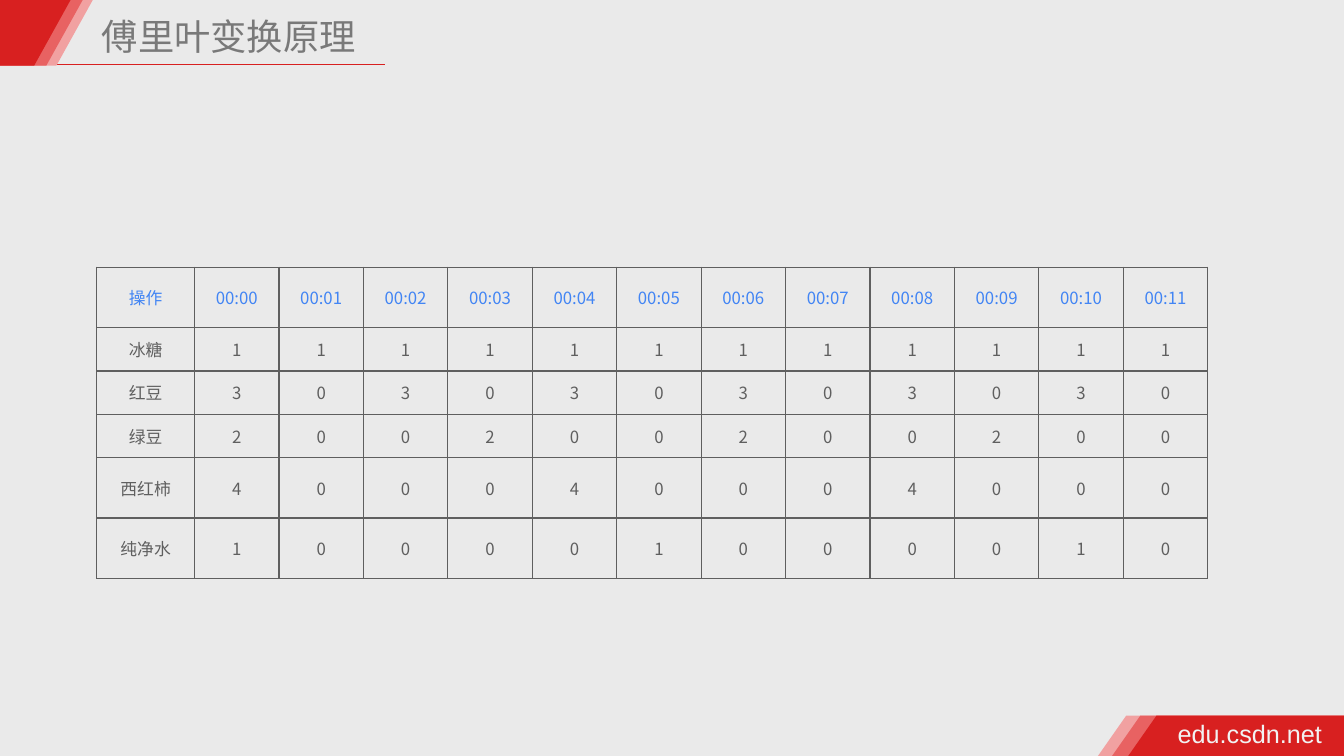
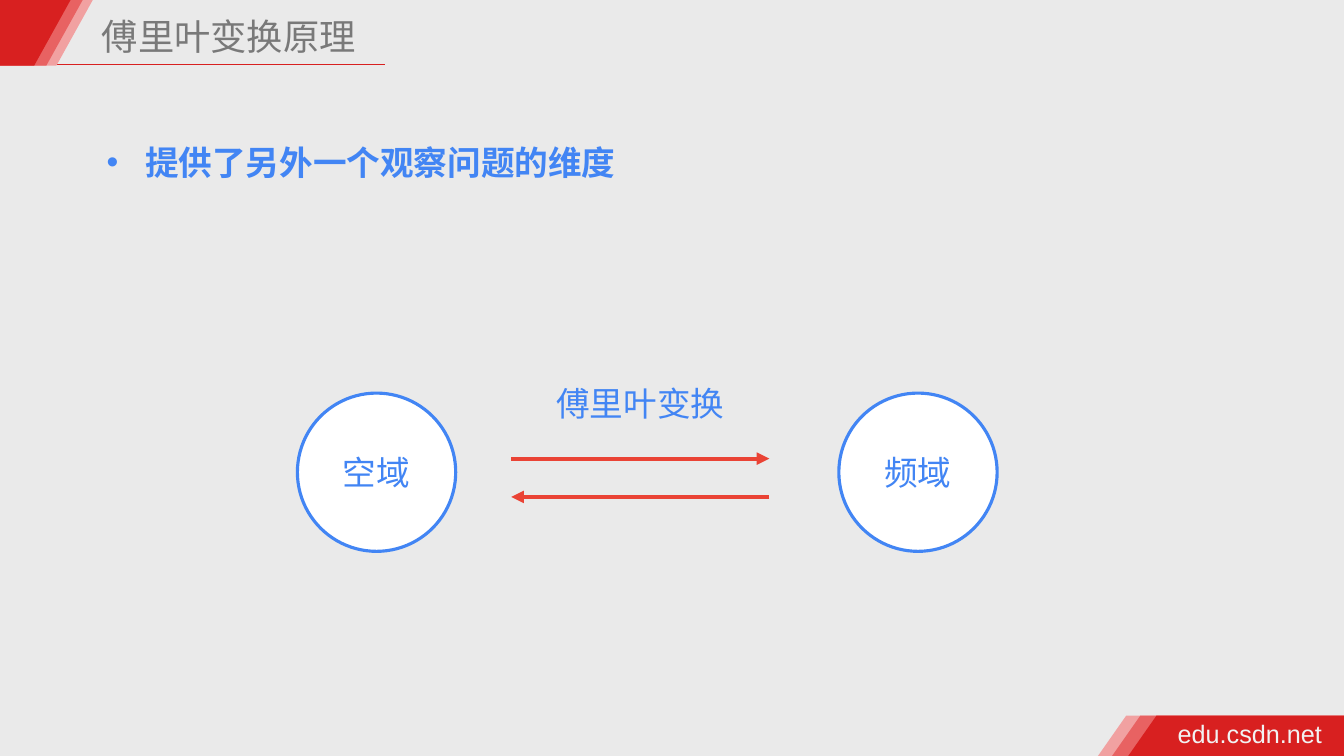
"""Build two slides on the idea behind the Fourier transform."""
from dataclasses import dataclass

from lxml import etree
from pptx import Presentation
from pptx.dml.color import RGBColor
from pptx.enum.shapes import MSO_CONNECTOR, MSO_SHAPE
from pptx.enum.text import MSO_ANCHOR, MSO_AUTO_SIZE, PP_ALIGN
from pptx.oxml.ns import qn
from pptx.util import Inches, Pt

LINE = MSO_CONNECTOR.STRAIGHT
OVAL = MSO_SHAPE.OVAL
MID = MSO_ANCHOR.MIDDLE
GROW = MSO_AUTO_SIZE.SHAPE_TO_FIT_TEXT
LEFT, MIDDLE = PP_ALIGN.LEFT, PP_ALIGN.CENTER


@dataclass(frozen=True)
class Theme:
    """Colours, fonts and type sizes of the deck."""
    back: str = "EAEAEA"
    pale: str = "F1A1A1"
    rose: str = "E86262"
    red: str = "D82020"
    arrow: str = "EA4335"
    blue: str = "4285F4"
    gray: str = "5F5F5F"
    head: str = "797979"
    white: str = "FFFFFF"
    foot: str = "F2F2F2"
    font: str = "Noto Sans CJK SC"
    latin: str = "Arial"
    title: float = 25.9
    body: int = 24
    site: int = 18
    cell: int = 12


T = Theme()
WIDE, HIGH = 13.33, 7.5
EDGE = 0.96
PAD = 0.05
TITLE = "傅里叶变换原理"
SITE = "edu.csdn.net"
POINT = "提供了另外一个观察问题的维度"
LABEL = "傅里叶变换"
NODES = ["空域", "频域"]
BANDS = [(T.pale, 0.92, 10.89), (T.rose, 0.82, 11.03), (T.red, 0.70, 11.19)]
TIMES = [f"00:{i:02}" for i in range(12)]
ITEMS = [
    ("冰糖", 0.43, 1, 1),
    ("红豆", 0.43, 3, 2),
    ("绿豆", 0.43, 2, 3),
    ("西红柿", 0.6, 4, 4),
    ("纯净水", 0.6, 1, 5),
]


def paint(fill, tone):
    fill.solid()
    fill.fore_color.rgb = RGBColor.from_string(tone)


def write(frame, text, size, tone, font=T.font, align=LEFT, bold=False, dot=False):
    para = frame.paragraphs[0]
    para.text = text
    para.alignment = align
    if dot:
        props = para._p.get_or_add_pPr()
        props.set("marL", str(Inches(0.38)))
        props.set("indent", str(-Inches(0.38)))
        etree.SubElement(props, qn("a:buFont"), typeface=T.latin)
        etree.SubElement(props, qn("a:buChar"), char="•")
    face = para.font
    face.size = Pt(size)
    face.bold = bold
    face.color.rgb = RGBColor.from_string(tone)
    face.name = font
    base = para._p.pPr.find(qn("a:defRPr"))
    etree.SubElement(base, qn("a:ea"), typeface=font)
    return para


def inset(frame, pad):
    frame.margin_left = frame.margin_right = Inches(pad)
    frame.margin_top = frame.margin_bottom = Inches(pad)


def box(slide, x, y, w, h, grow=True, wrap=True, pad=None):
    frame = slide.shapes.add_textbox(*map(Inches, (x, y, w, h))).text_frame
    frame.word_wrap = wrap
    if grow:
        frame.auto_size = GROW
    if pad:
        inset(frame, pad)
    return frame


def rule(slide, start, end, tone, width, tip=False):
    line = slide.shapes.add_connector(LINE, *map(Inches, start + end))
    line.line.color.rgb = RGBColor.from_string(tone)
    line.line.width = Pt(width)
    props = line._element.spPr
    if tip:
        etree.SubElement(props.find(qn("a:ln")), qn("a:tailEnd"), type="triangle")
    etree.SubElement(props, qn("a:effectLst"))


def band(slide, tone, points):
    spots = [(Inches(x), Inches(y)) for x, y in points]
    pen = slide.shapes.build_freeform(*spots[0])
    pen.add_line_segments(spots[1:], close=True)
    shape = pen.convert_to_shape()
    shape.shadow.inherit = False
    paint(shape.fill, tone)
    shape.line.fill.background()


def start(deck):
    slide = deck.slides.add_slide(deck.slide_layouts[6])
    paint(slide.background.fill, T.back)
    rule(slide, (0.49, 0.64), (3.82, 0.64), T.red, 1)
    low, top, lean = 0.65, 7.1, 0.28
    for tone, tip, foot in BANDS:
        band(slide, tone, [(0, 0), (tip, 0), (tip - 0.36, low), (0, low)])
        band(slide, tone, [(foot + lean, top), (WIDE, top), (WIDE, HIGH), (foot, HIGH)])
    site = box(slide, 11.63, 7.08, 1.55, 0.4, wrap=False, pad=PAD)
    write(site, SITE, T.site, T.foot, T.latin)
    title = box(slide, EDGE, 0.05, 3.86, 0.56, grow=False, pad=PAD)
    write(title, TITLE, T.title, T.head).line_spacing = 1.1
    return slide


def border(cell):
    props = cell._tc.get_or_add_tcPr()
    for side in "LRTB":
        line = etree.SubElement(props, qn(f"a:ln{side}"), w=str(Pt(1)))
        fill = etree.SubElement(line, qn("a:solidFill"))
        etree.SubElement(fill, qn("a:srgbClr"), val=T.gray)


def chart(slide):
    rows = [["操作"] + TIMES]
    for name, _, count, step in ITEMS:
        rows.append([name] + [0 if i % step else count for i in range(len(TIMES))])
    tall = [0.6] + [item[1] for item in ITEMS]
    first, span = 0.97, 11.02
    wide = [first] + [(span - first) / len(TIMES)] * len(TIMES)
    place = map(Inches, (EDGE, 2.65, span, sum(tall)))
    grid = slide.shapes.add_table(len(rows), len(wide), *place).table
    grid.first_row = grid.horz_banding = False
    for col, w in zip(grid.columns, wide):
        col.width = Inches(w)
    for r, (row, h) in enumerate(zip(rows, tall)):
        grid.rows[r].height = Inches(h)
        for c, value in enumerate(row):
            cell = grid.cell(r, c)
            border(cell)
            cell.fill.background()
            cell.vertical_anchor = MID
            cell.margin_left = cell.margin_right = Inches(0.19)
            cell.margin_top = cell.margin_bottom = Inches(0.09)
            tone = T.gray if r else T.blue
            write(cell.text_frame, str(value), T.cell, tone, align=MIDDLE)


def flow(slide):
    size, left, step = 1.57, 2.95, 5.37
    for i, name in enumerate(NODES):
        place = map(Inches, (left + i * step, 3.9, size, size))
        node = slide.shapes.add_shape(OVAL, *place)
        node.shadow.inherit = False
        paint(node.fill, T.white)
        node.line.color.rgb = RGBColor.from_string(T.blue)
        node.line.width = Pt(2.25)
        inset(node.text_frame, PAD)
        node.text_frame.vertical_anchor = MID
        write(node.text_frame, name, T.body, T.blue, align=MIDDLE)
    near, far = 5.07, 7.63
    for a, b, y in [(near, far, 4.55), (far, near, 4.93)]:
        rule(slide, (a, y), (b, y), T.arrow, 3, tip=True)
    write(box(slide, 4.59, 3.75, 3.52, 0.5), LABEL, T.body, T.blue, align=MIDDLE)
    point = box(slide, EDGE, 1.36, 6.02, 0.5)
    write(point, POINT, T.body, T.blue, bold=True, dot=True)


def main():
    deck = Presentation()
    deck.slide_width, deck.slide_height = Inches(WIDE), Inches(HIGH)
    for draw in (chart, flow):
        draw(start(deck))
    deck.save("out.pptx")


if __name__ == "__main__":
    main()
